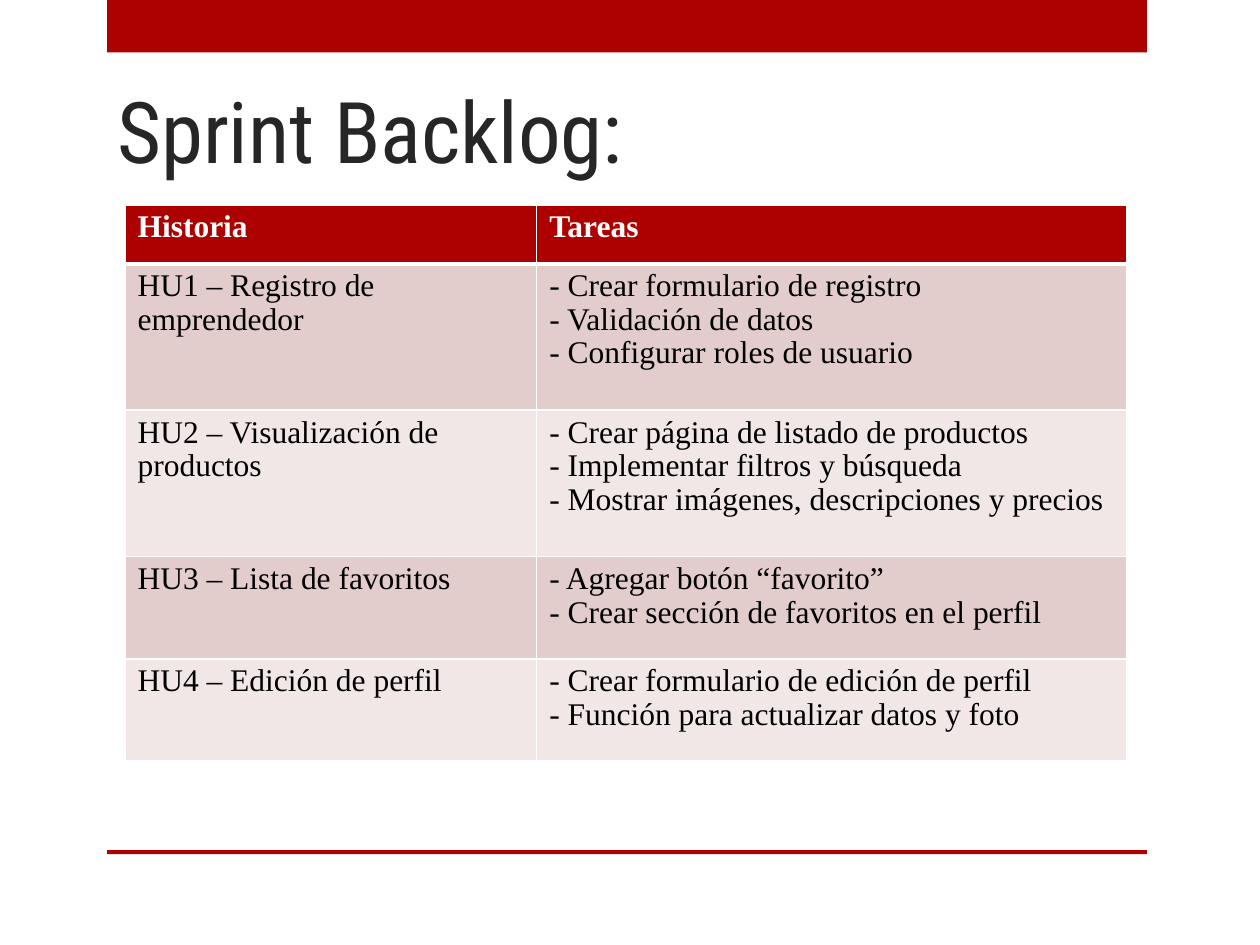
from dataclasses import dataclass

from lxml import etree
from pptx import Presentation
from pptx import util as u
from pptx.dml.color import RGBColor
from pptx.enum import shapes, text
from pptx.oxml import ns


@dataclass(frozen=True)
class Theme:
    accent: str = "AD0101"
    heading: str = "262626"
    body: str = "000000"
    light: str = "FFFFFF"
    bands: tuple = ("E3CCCC", "F1E7E7")
    title_font: str = "Roboto Condensed"
    table_font: str = "Times New Roman"
    title_size: float = 48.6
    table_size: float = 18
    table_spacing: float = 0.96
    rule: float = 1
    header_rule: float = 3


def write(frame, content, *, font, size, color, bold=False, spacing=1.0):
    frame.text = content
    for paragraph in frame.paragraphs:
        paragraph.alignment = text.PP_ALIGN.LEFT
        paragraph.line_spacing = spacing
        for run in paragraph.runs:
            run.font.name = font
            run.font.size = u.Pt(size)
            run.font.bold = bold
            run.font.color.rgb = RGBColor.from_string(color)


class SlideBuilder:
    def __init__(self, slide, theme):
        self.slide = slide
        self.theme = theme

    def bar(self, top, height):
        bar = self.slide.shapes.add_shape(
            shapes.MSO_SHAPE.RECTANGLE, u.Cm(2.16), u.Cm(top), u.Cm(20.96), u.Cm(height)
        )
        bar.shadow.inherit = False
        bar.fill.solid()
        bar.fill.fore_color.rgb = RGBColor.from_string(self.theme.accent)
        bar.line.fill.background()

    def title(self, content):
        box = self.slide.shapes.add_textbox(u.Cm(2.11), u.Cm(1.32), u.Cm(18.85), u.Cm(4.45))
        frame = box.text_frame
        frame.word_wrap = True
        frame.vertical_anchor = text.MSO_ANCHOR.BOTTOM
        frame.margin_bottom = u.Cm(2.13)
        write(frame, content, font=self.theme.title_font, size=self.theme.title_size,
              color=self.theme.heading)

    def borders(self, cell, **widths):
        properties = cell._tc.get_or_add_tcPr()
        for position, (side, width) in enumerate(widths.items()):
            line = etree.Element(ns.qn(f"a:{side}"), w=str(u.Pt(width)))
            fill = etree.SubElement(line, ns.qn("a:solidFill"))
            etree.SubElement(fill, ns.qn("a:srgbClr"), val=self.theme.light)
            properties.insert(position, line)

    def cell(self, cell, content, row):
        theme = self.theme
        header = row == 0
        cell.fill.solid()
        cell.fill.fore_color.rgb = RGBColor.from_string(
            theme.accent if header else theme.bands[(row - 1) % 2]
        )
        write(cell.text_frame, content, font=theme.table_font, size=theme.table_size,
              color=theme.light if header else theme.body, bold=header,
              spacing=theme.table_spacing)
        self.borders(
            cell, lnL=theme.rule, lnR=theme.rule,
            lnT=theme.header_rule if row == 1 else theme.rule,
            lnB=theme.header_rule if header else theme.rule,
        )

    def table(self, rows, widths, heights):
        table = self.slide.shapes.add_table(
            len(rows), len(widths), u.Cm(2.52), u.Cm(4.13),
            u.Cm(sum(widths)), u.Cm(sum(heights))
        ).table
        for column, width in zip(table.columns, widths):
            column.width = u.Cm(width)
        for row, height in zip(table.rows, heights):
            row.height = u.Cm(height)
        for r, row in enumerate(rows):
            for c, content in enumerate(row):
                self.cell(table.cell(r, c), content, r)


BACKLOG = [
    ("HU1 – Registro de emprendedor",
     ["Crear formulario de registro", "Validación de datos", "Configurar roles de usuario"]),
    ("HU2 – Visualización de productos",
     ["Crear página de listado de productos", "Implementar filtros y búsqueda",
      "Mostrar imágenes, descripciones y precios"]),
    ("HU3 – Lista de favoritos",
     ["Agregar botón “favorito”", "Crear sección de favoritos en el perfil"]),
    ("HU4 – Edición de perfil",
     ["Crear formulario de edición de perfil", "Función para actualizar datos y foto"]),
]


def main():
    deck = Presentation()
    deck.slide_width, deck.slide_height = u.Cm(25.4), u.Cm(19.05)
    builder = SlideBuilder(deck.slides.add_slide(deck.slide_layouts[6]), Theme())
    builder.bar(0, 1.06)
    builder.bar(17.14, 0.08)
    builder.title("Sprint Backlog:")
    rows = [("Historia", "Tareas")]
    rows += [(story, "\n".join(f"- {task}" for task in tasks)) for story, tasks in BACKLOG]
    builder.table(rows, widths=[8.3, 11.9], heights=[1.19, 2.95, 2.95, 2.06, 2.06])
    deck.save("out.pptx")


if __name__ == "__main__":
    main()
